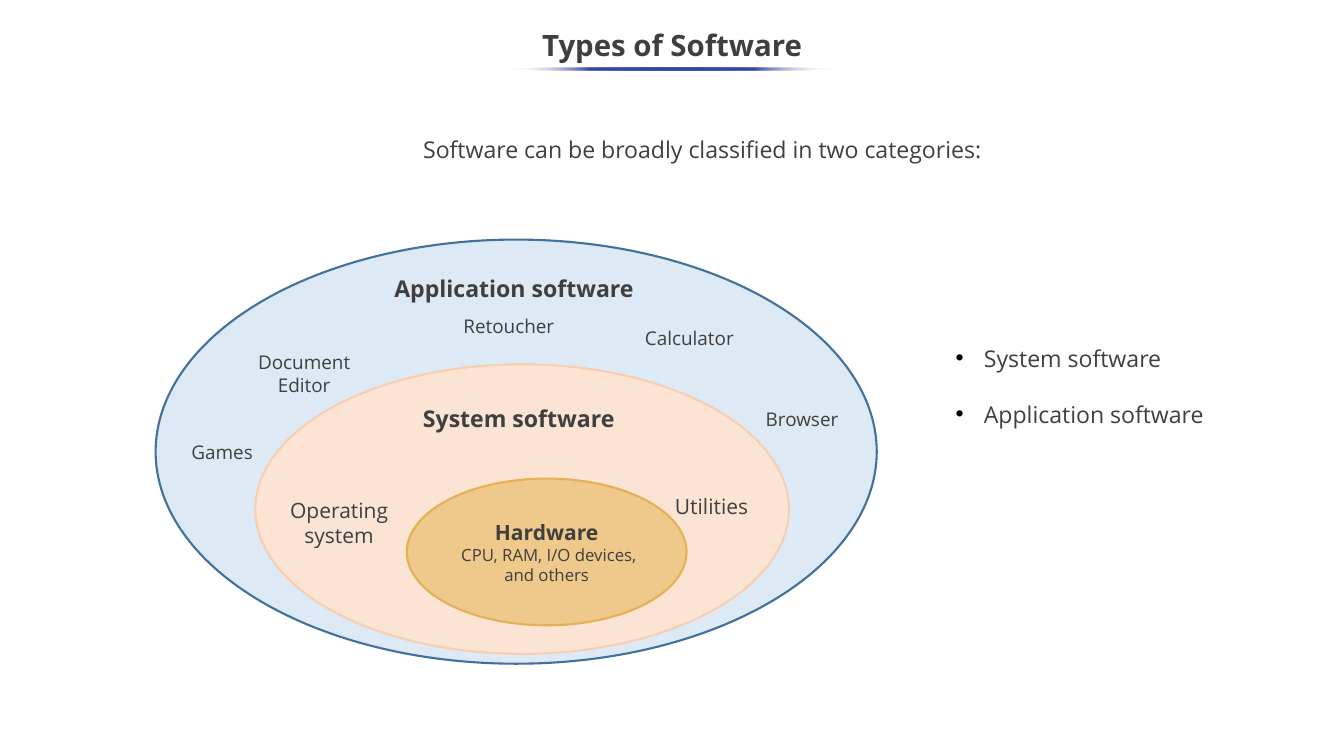
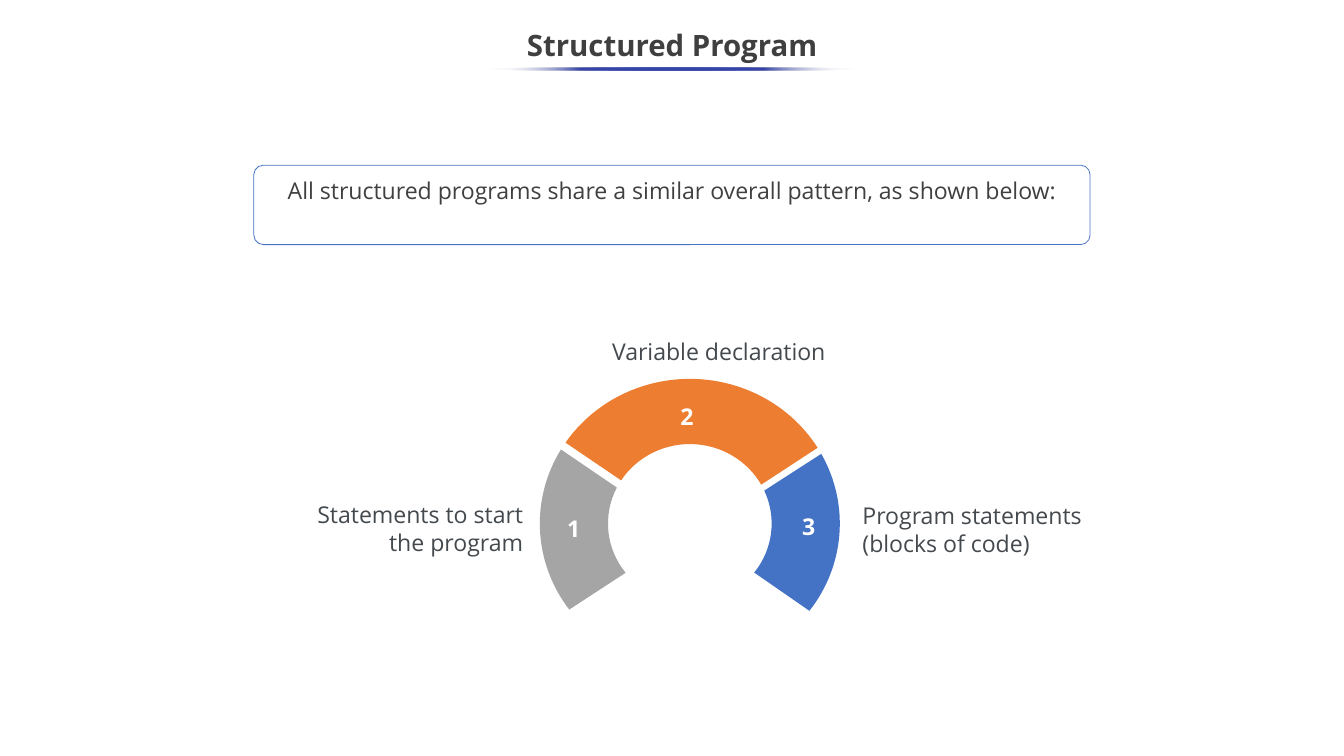
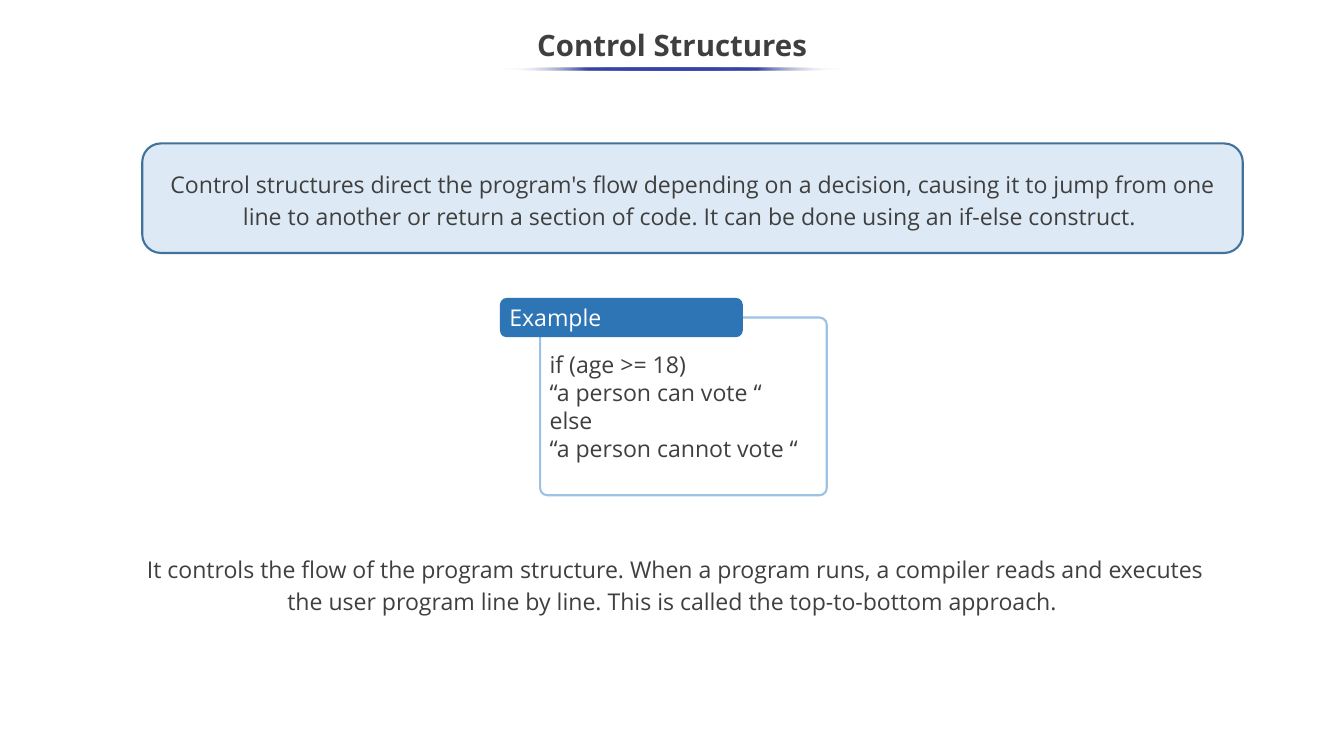
from math import cos, radians, sin, tan

from lxml import etree
from pptx import Presentation
from pptx.dml.color import RGBColor
from pptx.enum.shapes import MSO_SHAPE as Preset
from pptx.enum.text import MSO_ANCHOR as Anchor, MSO_AUTO_SIZE as AutoSize, PP_ALIGN as Align
from pptx.oxml.ns import qn
from pptx.util import Cm, Pt

# Shared look
FONT = "Open Sans"
TEXT, LABEL, WHITE = "3F3F3F", "44494E", "FFFFFF"
PALE_BLUE, DEEP_BLUE = "DDEAF6", "42719B"
UNDERLINE = "3645A9"
SLIDE_WIDTH, SLIDE_HEIGHT = 45.16, 25.4
TITLE_AREA = (0, 0.64, SLIDE_WIDTH, 1.9)
TITLE_ONLY, TITLE_AND_BODY = 5, 1

# Ring of the structured program, in cm
RING_CENTRE = (23.18, 17.59)
RING_OUTER = (5.04, 4.86)
RING_INNER = (2.75, 2.67)


def colour(code):
    return RGBColor.from_string(code)


def place(item, area):
    item.left, item.top, item.width, item.height = map(Cm, area)


def style(para, size=22, code=TEXT, bold=False, align=Align.LEFT, spacing=1.0):
    para.alignment = align
    para.line_spacing = spacing
    para.space_before = para.space_after = Pt(0)
    font = para.font
    font.name, font.size, font.bold = FONT, Pt(size), bold
    font.color.rgb = colour(code)


def write(frame, text, anchor=Anchor.TOP, inset_top=0.13, **look):
    frame.word_wrap = True
    frame.auto_size = AutoSize.NONE
    frame.vertical_anchor = anchor
    frame.margin_left = frame.margin_right = Cm(0.25)
    frame.margin_top, frame.margin_bottom = Cm(inset_top), Cm(0.13)
    frame.text = text
    for para in frame.paragraphs:
        style(para, **look)


def add_text(page, area, text, **look):
    box = page.shapes.add_textbox(*map(Cm, area))
    write(box.text_frame, text, **look)


def paint(shape, fill=None, line=None, weight=2):
    shape.shadow.inherit = False
    if fill:
        shape.fill.solid()
        shape.fill.fore_color.rgb = colour(fill)
    else:
        shape.fill.background()
    if line:
        shape.line.color.rgb = colour(line)
        shape.line.width = Pt(weight)
    else:
        shape.line.fill.background()


def add_ellipse(page, area, fill, line):
    ellipse = page.shapes.add_shape(Preset.OVAL, *map(Cm, area))
    paint(ellipse, fill, line)
    return ellipse


def add_panel(page, area, text, rounding=0.17, fill=None, line=None, weight=2, **look):
    panel = page.shapes.add_shape(Preset.ROUNDED_RECTANGLE, *map(Cm, area))
    panel.adjustments[0] = rounding
    paint(panel, fill, line, weight)
    write(panel.text_frame, text, **look)


def add_underline(page, width):
    """Thin ellipse under the title that fades out at both ends."""
    area = ((SLIDE_WIDTH - width) / 2, 2.26, width, 0.1)
    bar = add_ellipse(page, area, UNDERLINE, None)
    gradient = etree.Element(qn("a:gradFill"), rotWithShape="1")
    stops = etree.SubElement(gradient, qn("a:gsLst"))
    for percent in (0, 25, 50, 75, 100):
        faded = percent in (0, 100)
        stop = etree.SubElement(stops, qn("a:gs"), pos=str(percent * 1000))
        tint = etree.SubElement(stop, qn("a:srgbClr"), val=WHITE if faded else UNDERLINE)
        if faded:
            etree.SubElement(tint, qn("a:alpha"), val="0")
    etree.SubElement(gradient, qn("a:lin"), ang="10800000", scaled="0")
    properties = bar.element.spPr
    properties.replace(properties.find(qn("a:solidFill")), gradient)


def add_page(deck, layout, title, underline_width):
    page = deck.slides.add_slide(deck.slide_layouts[layout])
    place(page.shapes.title, TITLE_AREA)
    write(page.shapes.title.text_frame, title, anchor=Anchor.MIDDLE,
          size=28, bold=True, align=Align.CENTER, spacing=0.9)
    add_underline(page, underline_width)
    return page


def set_bullet(para, char=None):
    """Give the paragraph a black bullet, or none when char is missing."""
    properties = para._p.get_or_add_pPr()
    indent = Cm(0.95) if char else 0
    properties.set("marL", str(indent))
    properties.set("indent", str(-indent))
    if char:
        tint = etree.Element(qn("a:buClr"))
        etree.SubElement(tint, qn("a:srgbClr"), val="000000")
        marks = [tint, etree.Element(qn("a:buChar"), char=char)]
    else:
        marks = [etree.Element(qn("a:buNone"))]
    defaults = properties.find(qn("a:defRPr"))
    for mark in marks:
        defaults.addprevious(mark)


def fill_body(page, area, text, bullet=None, gap=0, **look):
    body = page.placeholders[1]
    place(body, area)
    write(body.text_frame, text, **look)
    for number, para in enumerate(body.text_frame.paragraphs):
        set_bullet(para, bullet)
        if number:
            para.space_before = Pt(gap)


def arc(radii, start, end, pieces):
    """Bezier points along the ring, angles in degrees clockwise from the right."""
    step = radians(end - start) / pieces
    pull = 4 / 3 * tan(step / 4)

    def spot(angle, shift=0):
        across = cos(angle) - shift * sin(angle)
        down = sin(angle) + shift * cos(angle)
        return (Cm(RING_CENTRE[0] + radii[0] * across), Cm(RING_CENTRE[1] + radii[1] * down))

    points = [spot(radians(start))]
    for piece in range(pieces):
        first = radians(start) + piece * step
        last = first + step
        points += [spot(first, pull), spot(last, -pull), spot(last)]
    return points


def bend(segments):
    """Turn each three line segments into one curve."""
    for first in range(0, len(segments), 3):
        trio = segments[first:first + 3]
        curve = etree.Element(qn("a:cubicBezTo"))
        trio[0].addprevious(curve)
        for segment in trio:
            curve.append(segment[0])
            segment.getparent().remove(segment)


def add_ring_part(page, outer, inner, pieces, fill):
    points = arc(RING_OUTER, *outer, pieces) + arc(RING_INNER, *reversed(inner), pieces)
    builder = page.shapes.build_freeform(*points[0])
    builder.add_line_segments(points[1:], close=True)
    part = builder.convert_to_shape()
    segments = list(part.element.iter(qn("a:lnTo")))
    bend(segments[:3 * pieces])
    bend(segments[3 * pieces + 1:6 * pieces + 1])
    paint(part, fill)


def types_of_software(deck):
    page = add_page(deck, TITLE_AND_BODY, "Types of Software", 10.97)
    add_panel(page, (6.1, 4.36, 35, 2.13), "Software can be broadly classified in two categories:",
              rounding=0.12, align=Align.CENTER)
    fill_body(page, (31.86, 11.28, 11.76, 4.32), "System software\nApplication software",
              bullet="•", gap=27, inset_top=0.28)

    # Nested layers
    add_ellipse(page, (5.23, 8.05, 24.23, 14.25), PALE_BLUE, DEEP_BLUE)
    add_ellipse(page, (8.58, 12.24, 17.93, 9.73), "FBE4D4", "F8CEB2")
    hardware = add_ellipse(page, (13.67, 16.08, 9.4, 4.93), "EFC88B", "E7AF53")
    write(hardware.text_frame, "Hardware\n CPU, RAM, I/O devices, and others",
          anchor=Anchor.MIDDLE, size=16, align=Align.CENTER)
    style(hardware.text_frame.paragraphs[0], size=20, bold=True, align=Align.CENTER)

    # Layer names and system examples
    add_text(page, (13, 9.08, 9.42, 1.19), "Application software", bold=True)
    add_text(page, (13.58, 13.46, 7.7, 1.19), "System software", bold=True, align=Align.CENTER)
    add_text(page, (8.46, 16.59, 5.87, 1.96), "Operating system", size=20, align=Align.CENTER)
    add_text(page, (22.43, 16.46, 6.53, 1.12), "Utilities", size=20)

    # Application examples
    add_text(page, (8.2, 11.66, 4.04, 1.8), "Document Editor", size=18, align=Align.CENTER)
    for left, top, name in ((6.18, 14.66, "Games"), (15.32, 10.44, "Retoucher"),
                            (21.42, 10.86, "Calculator"), (25.48, 13.56, "Browser")):
        add_text(page, (left, top, 4.04, 1.02), name, size=18)


def structured_program(deck):
    page = add_page(deck, TITLE_ONLY, "Structured Program", 12.29)
    add_panel(page, (8.53, 5.55, 28.1, 2.67),
              "All structured programs share a similar overall pattern, as shown below:",
              rounding=0.12, line="4472C4", weight=0.75, code="404040",
              align=Align.CENTER, spacing=1.15)

    # Ring parts: outer and inner angles, curve pieces, colour, place of the number
    parts = (
        ((143.5, 210.8), (141.7, 206.9), 1, "A5A5A5", (18.81, 17.17)),
        ((214, 328.4), (212.9, 330.7), 2, "ED7D31", (22.61, 13.39)),
        ((331.2, 397.1), (335.5, 398.1), 1, "4472C4", (26.7, 17.1)),
    )
    for number, (outer, inner, pieces, fill, corner) in enumerate(parts, 1):
        add_ring_part(page, outer, inner, pieces, fill)
        add_text(page, (*corner, 1.57, 1.19), str(number), code=WHITE, bold=True)

    # Labels around the ring
    labels = (
        ((9.27, 16.69, 8.56, 2.16), "Statements to start the program", Align.RIGHT),
        ((16.81, 11.2, 11.18, 1.19), "Variable declaration", Align.RIGHT),
        ((28.73, 16.72, 11.91, 2.13), "Program statements\n(blocks of code)", Align.LEFT),
    )
    for area, text, align in labels:
        add_text(page, area, text, code=LABEL, align=align)


def control_structures(deck):
    page = add_page(deck, TITLE_AND_BODY, "Control Structures", 11.38)
    add_panel(page, (4.78, 4.82, 36.98, 3.68),
              "Control structures direct the program's flow depending on a decision, causing it to "
              "jump from one line to another or return a section of code. It can be done using an "
              "if-else construct. ",
              fill=PALE_BLUE, line=DEEP_BLUE, anchor=Anchor.MIDDLE,
              align=Align.CENTER, spacing=1.15)

    # Example with its tag
    add_panel(page, (18.15, 10.67, 9.63, 5.97),
              "if (age >= 18)\n“a person can vote “\nelse\n“a person cannot vote “",
              rounding=0.04, line="9CC2E5", inset_top=1.05)
    add_panel(page, (16.8, 10.01, 8.16, 1.32), "Example", fill="2E75B5", code=WHITE)

    fill_body(page, (3.56, 18.52, 38.05, 2.51),
              " It controls the flow of the program structure. When a program runs, a compiler "
              "reads and executes\nthe user program line by line. This is called the "
              "top-to-bottom approach.",
              inset_top=0, align=Align.CENTER, spacing=1.15)


def main():
    deck = Presentation()
    deck.slide_width, deck.slide_height = Cm(SLIDE_WIDTH), Cm(SLIDE_HEIGHT)
    types_of_software(deck)
    structured_program(deck)
    control_structures(deck)
    deck.save("out.pptx")


if __name__ == "__main__":
    main()
